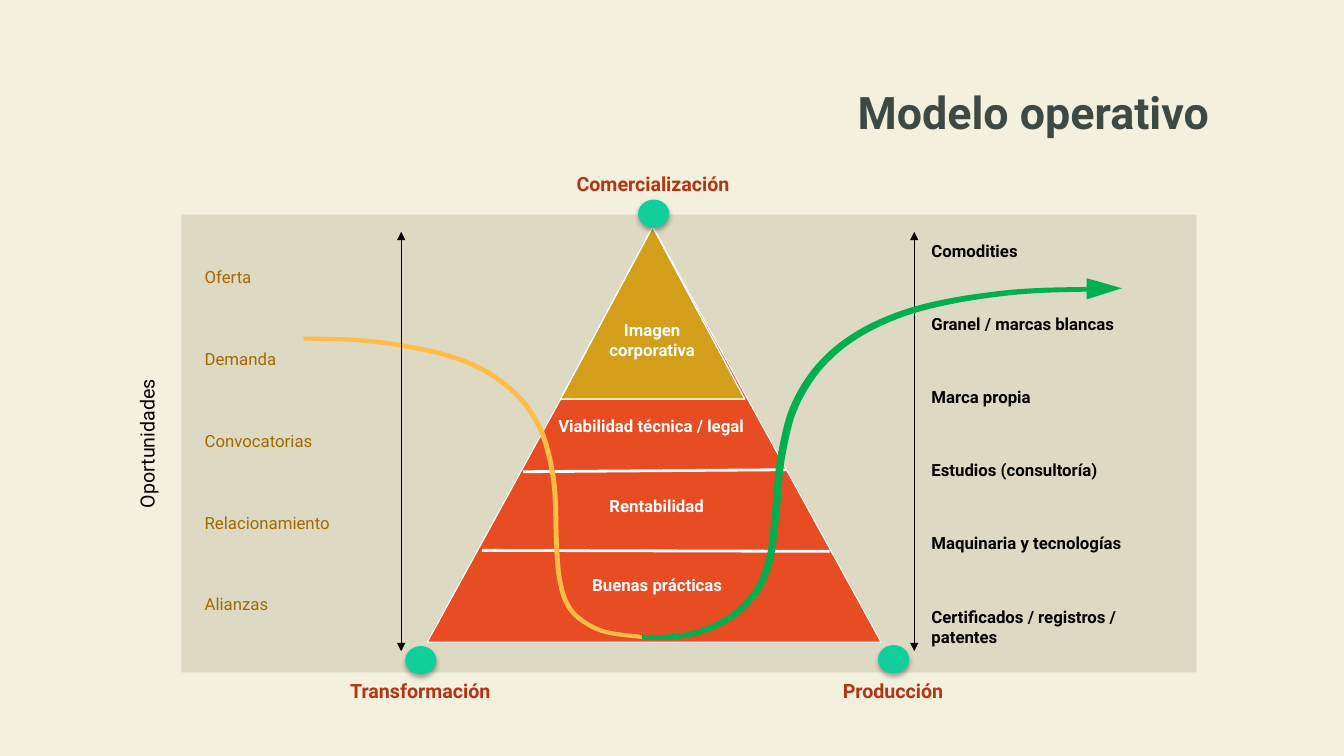
import math
from dataclasses import dataclass

import pptx
import pptx.dml.color
import pptx.enum.shapes
import pptx.enum.text
import pptx.oxml.ns
import pptx.util
from lxml import etree

# Grid: 133.33 columns by 75 rows, each cell a tenth of an inch
CELL = 91440
COLS, ROWS = 133.33, 75
FONT = "Roboto"
LINE_HEIGHT = 14.06  # points taken by one 12 pt line
SHAPE = pptx.enum.shapes.MSO_SHAPE
ALIGN = pptx.enum.text.PP_ALIGN
Point = tuple[float, float]


@dataclass
class Label:
    text: str
    col: float
    row: float
    cols: float
    rows: float = 2
    size: float = 12
    color: str = "FFFFFF"
    bold: bool = True
    rotation: float = 0


@dataclass
class Rule:
    start: Point
    end: Point
    color: str = "FFFFFF"
    width: float = 0
    arrows: bool = False


@dataclass
class Ribbon:
    color: str
    end_width: float
    mid_width: float
    center: list[Point]


@dataclass
class SideList:
    items: list[str]
    col: float
    row: float
    cols: float
    pitch: float
    color: str
    bold: bool


def grid(n: float) -> int:
    return round(n * CELL)


def rgb(color: str) -> pptx.dml.color.RGBColor:
    return pptx.dml.color.RGBColor.from_string(color)


def place(sp, col: float, row: float, cols: float, rows: float) -> None:
    sp.left, sp.top, sp.width, sp.height = map(grid, (col, row, cols, rows))


def reset_frame(tf) -> None:
    tf.word_wrap = True
    tf.auto_size = pptx.enum.text.MSO_AUTO_SIZE.NONE
    tf.vertical_anchor = pptx.enum.text.MSO_ANCHOR.TOP
    tf.margin_left = tf.margin_right = tf.margin_top = tf.margin_bottom = 0


def set_font(p, size: float, color: str, bold: bool) -> None:
    p.font.name, p.font.size, p.font.bold = FONT, pptx.util.Pt(size), bold
    p.font.color.rgb = rgb(color)


def paint(sp, color: str, line: str = "", width: float = 0) -> None:
    sp.shadow.inherit = False
    sp.fill.solid()
    sp.fill.fore_color.rgb = rgb(color)
    if line:
        sp.line.color.rgb = rgb(line)
        sp.line.width = pptx.util.Pt(width)
    else:
        sp.line.fill.background()


def add_preset(shapes, kind, box: tuple[float, float, float, float], color: str,
               line: str = "", width: float = 0):
    sp = shapes.add_shape(kind, *map(grid, box))
    paint(sp, color, line, width)
    return sp


def add_label(shapes, label: Label) -> None:
    sp = shapes.add_textbox(*map(grid, (label.col, label.row, label.cols, label.rows)))
    sp.rotation = label.rotation
    reset_frame(sp.text_frame)
    p = sp.text_frame.paragraphs[0]
    p.text, p.alignment = label.text, ALIGN.CENTER
    set_font(p, label.size, label.color, label.bold)


def add_rule(shapes, rule: Rule) -> None:
    c = shapes.add_connector(pptx.enum.shapes.MSO_CONNECTOR.STRAIGHT,
                             *map(grid, rule.start + rule.end))
    c.line.color.rgb = rgb(rule.color)
    c.line.width = pptx.util.Pt(rule.width)
    qn = pptx.oxml.ns.qn
    sp_pr = c.element.spPr
    if rule.arrows:
        for tag in ("a:headEnd", "a:tailEnd"):
            etree.SubElement(sp_pr.find(qn("a:ln")), qn(tag), type="triangle")
    etree.SubElement(sp_pr, qn("a:effectLst"))


def add_outline(shapes, points: list[Point], color: str) -> None:
    outline = [(grid(x), grid(y)) for x, y in points]
    builder = shapes.build_freeform(*outline[0], scale=1.0)
    builder.add_line_segments(outline[1:], close=True)
    paint(builder.convert_to_shape(), color)


def smooth(points: list[Point], steps: int = 5) -> list[Point]:
    """Catmull-Rom curve through the points."""
    padded = [points[0], *points, points[-1]]
    curve = []
    for a, b, c, d in zip(padded, padded[1:], padded[2:], padded[3:]):
        for t in (i / steps for i in range(steps)):
            x, y = (b[k] + t / 2 * (c[k] - a[k]
                    + t * (2 * a[k] - 5 * b[k] + 4 * c[k] - d[k])
                    + t * t * (3 * (b[k] - c[k]) + d[k] - a[k])) for k in (0, 1))
            curve.append((x, y))
    return curve + [points[-1]]


def add_ribbon(shapes, ribbon: Ribbon) -> None:
    curve = smooth(ribbon.center)
    last = len(curve) - 1
    left, right = [], []
    for i, (x, y) in enumerate(curve):
        (x0, y0), (x1, y1) = curve[max(i - 1, 0)], curve[min(i + 1, last)]
        swell = (ribbon.mid_width - ribbon.end_width) * math.sin(math.pi * i / last)
        k = (ribbon.end_width + swell) / 2 / math.hypot(x1 - x0, y1 - y0)
        dx, dy = (y1 - y0) * k, (x0 - x1) * k
        left.append((x + dx, y + dy))
        right.append((x - dx, y - dy))
    add_outline(shapes, left + right[::-1], ribbon.color)


def fill_list(sp, side: SideList) -> None:
    place(sp, side.col, side.row, side.cols, side.pitch * (len(side.items) - 1) + 4)
    tf = sp.text_frame
    reset_frame(tf)
    for i, item in enumerate(side.items):
        p = tf.add_paragraph() if i else tf.paragraphs[0]
        p.text, p.alignment = item, ALIGN.LEFT
        p_pr = p._p.get_or_add_pPr()
        p_pr.set("marL", "0")
        p_pr.set("indent", "0")
        etree.SubElement(p_pr, pptx.oxml.ns.qn("a:buNone"))
        p.line_spacing = 1.0
        p.space_before = pptx.util.Pt(side.pitch * 7.2 - LINE_HEIGHT if i else 0)
        p.space_after = pptx.util.Pt(0)
        set_font(p, 12, side.color, side.bold)
    sp.element.getparent().append(sp.element)  # bring in front of the panel


def add_node(shapes, col: float, row: float) -> None:
    sp = add_preset(shapes, SHAPE.OVAL, (col, row, 3.1, 2.8), "10CF9B")
    qn = pptx.oxml.ns.qn
    shadow = etree.SubElement(sp.element.spPr.find(qn("a:effectLst")), qn("a:outerShdw"),
                              blurRad="44450", dist="27940", dir="5400000", rotWithShape="0")
    shade = etree.SubElement(shadow, qn("a:srgbClr"), val="000000")
    etree.SubElement(shade, qn("a:alpha"), val="32000")


DEMAND = Ribbon("FFBD47", 0.4, 0.5, [
    (30.1, 33.6), (34.7, 33.7), (39.4, 34.2), (44.5, 35.3), (48.3, 36.9), (51.3, 39.2),
    (53.1, 41.6), (54.2, 44.2), (55, 48.3), (55.2, 53.8), (55.5, 57.4), (56.3, 60),
    (57.8, 61.6), (60.1, 62.7), (63.7, 63.2)])
SUPPLY = Ribbon("00B050", 0.45, 0.75, [
    (63.7, 63.2), (66.2, 63.2), (68.6, 62.9), (70.9, 62.1), (72.8, 61), (74.3, 59.6),
    (75.5, 57.9), (76.4, 55.3), (76.8, 52.4), (77.1, 49.3), (77.4, 46), (78.2, 42.1),
    (79.1, 39.7), (80.4, 37.5), (81.9, 35.7), (84, 33.9), (86.9, 32.2), (90.5, 30.8),
    (94.7, 29.8), (99.5, 29.1), (103.5, 28.8), (108.1, 28.7)])
OPPORTUNITIES = SideList(
    ["Oferta", "Demanda", "Convocatorias", "Relacionamiento", "Alianzas"],
    20.3, 26.5, 17.7, 8.06, "A36900", False)
PRODUCTS = SideList(
    ["Comodities", "Granel / marcas blancas", "Marca propia", "Estudios (consultoría)",
     "Maquinaria y tecnologías", "Certificados / registros / patentes"],
    92.4, 23.9, 24.5, 7.2, "000000", True)
DIVIDERS = [Rule((51.9, 46.8), (78, 46.6)), Rule((47.8, 54.6), (82.3, 54.7))]
LEFT_AXIS, RIGHT_AXIS = (Rule((x, 23), (x, 64.6), "000000", 0.5, True) for x in (39.8, 90.7))
LABELS = [
    Label("Viabilidad técnica / legal", 54.5, 41.2, 20.2),
    Label("Rentabilidad", 54.5, 49.2, 21.3),
    Label("Buenas prácticas", 47.1, 57, 36.2),
    Label("Imagen corporativa", 58.9, 31.7, 11.6, 4),
    Label("Oportunidades", 4.3, 42.8, 20.6, 2.4, 14, "000000", False, 270),
    *(Label(text, col, row, 17.4, 2.4, 14, "B53513") for text, col, row in (
        ("Comercialización", 56.1, 17.1), ("Transformación", 33, 67.4),
        ("Producción", 79.9, 67.4))),
]
NODES = [(63.3, 19.8), (87.1, 64), (40.2, 64.1)]


def main() -> None:
    prs = pptx.Presentation()
    prs.slide_width, prs.slide_height = grid(COLS), grid(ROWS)
    s = prs.slides.add_slide(prs.slide_layouts[3])
    s.background.fill.solid()
    s.background.fill.fore_color.rgb = rgb("F3F0DE")
    shapes = s.shapes
    title, left_body, right_body = s.placeholders

    # Title
    place(title, 34.4, 7.9, 86.6, 6.4)
    reset_frame(title.text_frame)
    title.text_frame.vertical_anchor = pptx.enum.text.MSO_ANCHOR.MIDDLE
    title.text_frame.margin_right = grid(1)
    p = title.text_frame.paragraphs[0]
    p.text, p.alignment = "Modelo operativo", ALIGN.RIGHT
    set_font(p, 32, "3E4943", True)

    # Panel and pyramid
    add_preset(shapes, SHAPE.RECTANGLE, (18, 21.3, 100.7, 45.4), "DDD9C3")
    add_preset(shapes, SHAPE.ISOSCELES_TRIANGLE, (42.4, 22.7, 45, 41), "E84C22", "FFFFFF")
    for rule in [*DIVIDERS, RIGHT_AXIS]:
        add_rule(shapes, rule)

    # Curves with the arrowhead, then the left axis and the pyramid's tip
    add_outline(shapes, [(111.3, 28.6), (107.8, 27.6), (107.8, 29.7)], "00B050")
    for ribbon in (DEMAND, SUPPLY):
        add_ribbon(shapes, ribbon)
    add_rule(shapes, LEFT_AXIS)
    add_preset(shapes, SHAPE.ISOSCELES_TRIANGLE, (55.6, 22.5, 18.3, 17.1),
               "D39E1A", "FFFFFF", 1)

    # Texts and corner nodes
    fill_list(left_body, OPPORTUNITIES)
    fill_list(right_body, PRODUCTS)
    for label in LABELS:
        add_label(shapes, label)
    for col, row in NODES:
        add_node(shapes, col, row)

    prs.save("out.pptx")


if __name__ == "__main__":
    main()
